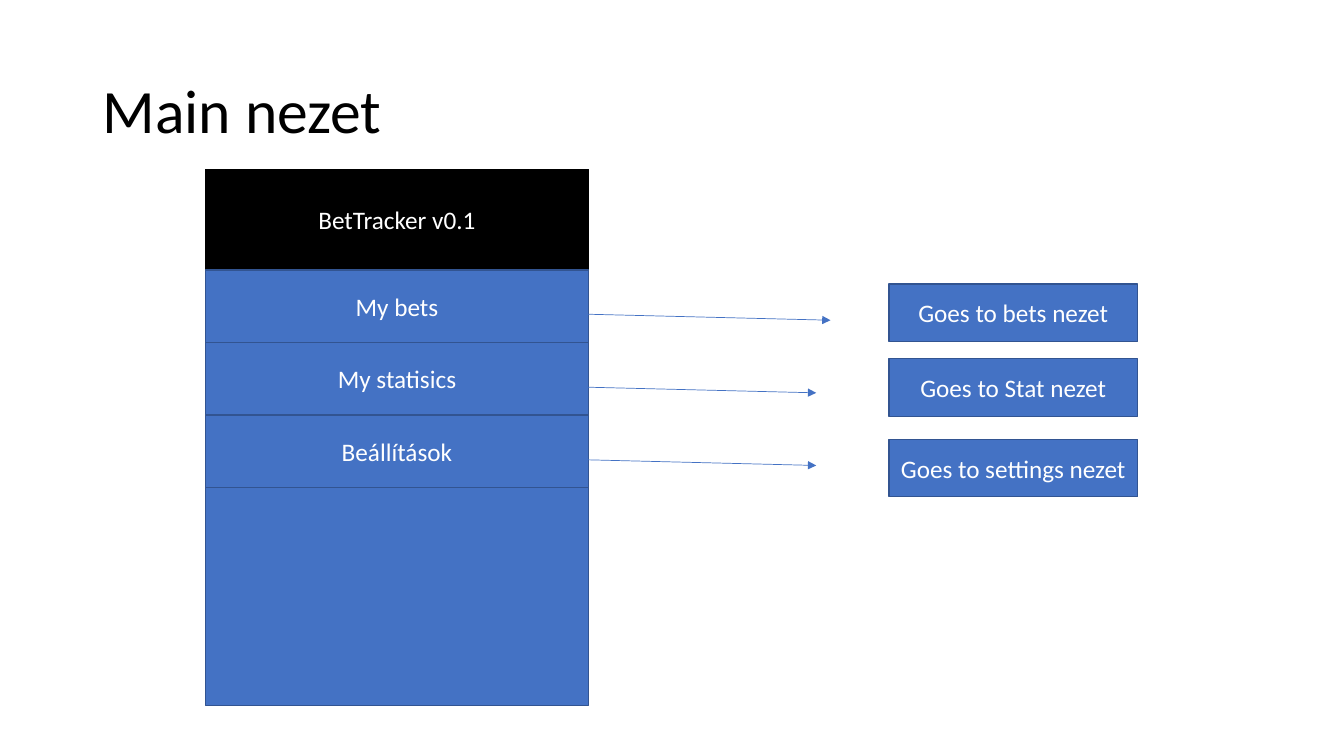
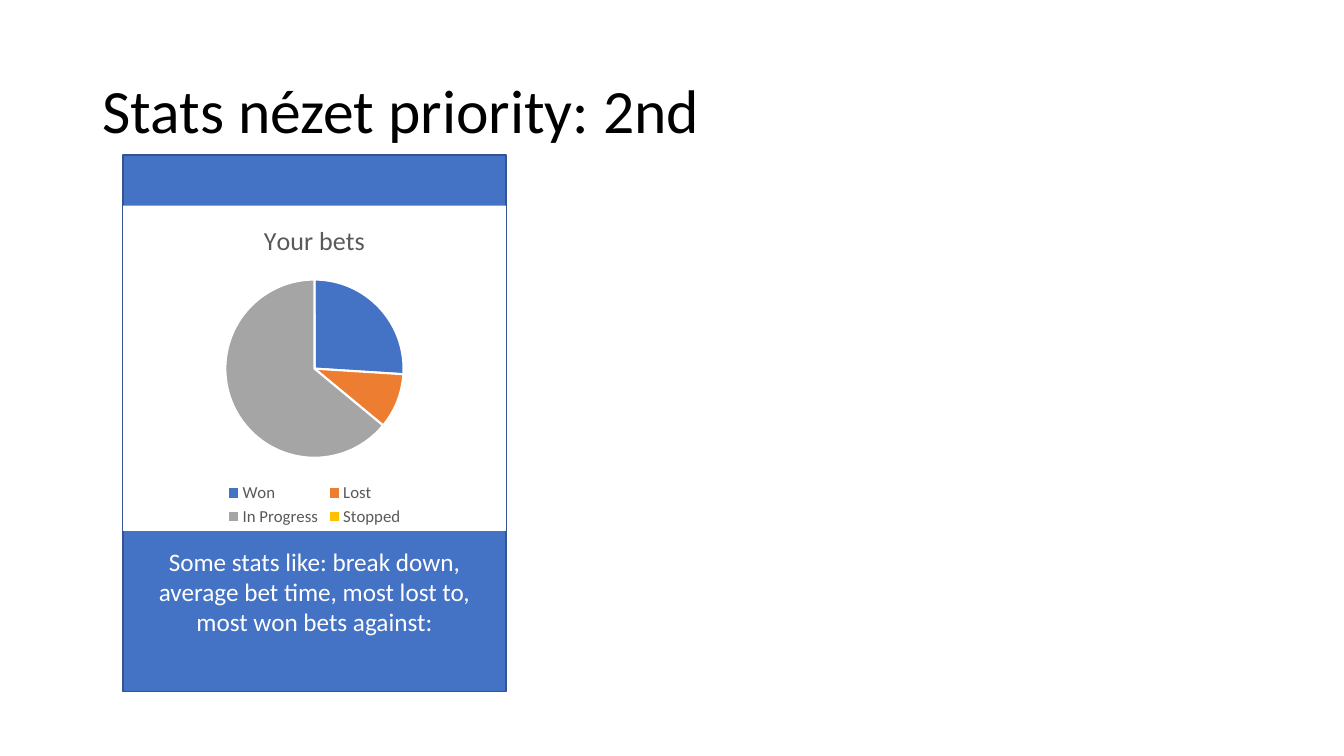
from lxml import etree
from pptx import Presentation
from pptx.chart.data import CategoryChartData
from pptx.dml.color import RGBColor
from pptx.enum import chart as ch, shapes, text
from pptx.oxml import ns, parse_xml
from pptx.util import Cm, Pt

FONT = "Calibri"
BLACK = RGBColor(0x00, 0x00, 0x00)
WHITE = RGBColor(0xFF, 0xFF, 0xFF)
BLUE = RGBColor(0x44, 0x72, 0xC4)
NAVY = RGBColor(0x32, 0x54, 0x91)
GREY = RGBColor(0x59, 0x59, 0x59)
SLICES = [BLUE, RGBColor(0xED, 0x7D, 0x31), RGBColor(0xA5, 0xA5, 0xA5),
          RGBColor(0xFF, 0xC0, 0x00)]

MAIN_TITLE = "Main nezet"
APP_NAME = "BetTracker v0.1"
# menu entry, arrow start x, target text, target top
MENU = [
    ("My bets", 13.64, "Goes to bets nezet", 7.16),
    ("My statisics", 13.28, "Goes to Stat nezet", 9.04),
    ("Beállítások", 13.28, "Goes to settings nezet", 11.07),
]
STATS_TITLE = "Stats nézet priority: 2nd"
STATS_NOTE = ("Some stats like: break down, average bet time, "
              "most lost to, most won bets against:")
CHART_TITLE = "Your bets"
BETS = {"Won": 26, "Lost": 10, "In Progress": 64, "Stopped": 0}

PANEL_W, PANEL_H = 9.65, 13.51
HEADER_H, ROW_H = 2.53, 1.83
ARROW_W, ARROW_H, ARROW_DROP = 7.29, 0.18, 1.09
TARGET_X, TARGET_W, TARGET_H = 22.4, 6.27, 1.45


def style_font(font, size, color):
    """Set family, size, weight and colour of a font."""
    font.name, font.size, font.bold = FONT, Pt(size), False
    font.color.rgb = color


def write(tf, words, size=18, color=WHITE, align=text.PP_ALIGN.CENTER,
          anchor=text.MSO_ANCHOR.MIDDLE, spacing=None):
    """Write one formatted paragraph into a text frame."""
    tf.word_wrap = True
    tf.vertical_anchor = anchor
    p = tf.paragraphs[0]
    p.alignment, p.line_spacing = align, spacing
    r = p.add_run()
    r.text = words
    style_font(r.font, size, color)


def add_slide(prs, title):
    """Add a title-only slide with the shared title style."""
    s = prs.slides.add_slide(prs.slide_layouts[5])
    sp = s.shapes.title
    sp.left, sp.top, sp.width, sp.height = Cm(2.33), Cm(1.01), Cm(29.21), Cm(3.68)
    write(sp.text_frame, title, size=44, color=BLACK,
          align=text.PP_ALIGN.LEFT, spacing=0.9)
    return s


def add_box(s, x, y, w, h, words=None, fill=BLUE, line=NAVY, **fmt):
    """Add a filled rectangle with optional text."""
    sp = s.shapes.add_shape(shapes.MSO_SHAPE.RECTANGLE, Cm(x), Cm(y), Cm(w), Cm(h))
    sp.shadow.inherit = False
    sp.fill.solid()
    sp.fill.fore_color.rgb = fill
    sp.line.color.rgb = line
    sp.line.width = Pt(1)
    if words:
        write(sp.text_frame, words, **fmt)
    return sp


def add_arrow(s, x, y):
    """Add a thin arrow that runs slightly downwards to the right."""
    c = s.shapes.add_connector(shapes.MSO_CONNECTOR.STRAIGHT, Cm(x), Cm(y),
                               Cm(x + ARROW_W), Cm(y + ARROW_H))
    c.line.color.rgb = BLUE
    c.line.width = Pt(0.5)
    etree.SubElement(c.line._get_or_add_ln(), ns.qn("a:tailEnd"), type="triangle")
    etree.SubElement(c._element.spPr, ns.qn("a:effectLst"))


def add_pie(s, x, y, w, h):
    """Add the pie chart of bets on a white ground."""
    data = CategoryChartData()
    data.categories = list(BETS)
    data.add_series(CHART_TITLE, list(BETS.values()))
    chart = s.shapes.add_chart(ch.XL_CHART_TYPE.PIE, Cm(x), Cm(y), Cm(w), Cm(h),
                               data).chart
    style_font(chart.font, 10, BLACK)
    chart.has_title = True
    tf = chart.chart_title.text_frame
    tf.text = CHART_TITLE
    style_font(tf.paragraphs[0].runs[0].font, 18.6, GREY)
    chart.chart_title.include_in_layout = False
    chart.has_legend = True
    chart.legend.position = ch.XL_LEGEND_POSITION.BOTTOM
    chart.legend.include_in_layout = False
    style_font(chart.legend.font, 12, GREY)
    plot = chart.plots[0]
    plot.vary_by_categories = True
    for i, color in enumerate(SLICES):
        fmt = plot.series[0].points[i].format
        fmt.fill.solid()
        fmt.fill.fore_color.rgb = color
        fmt.line.color.rgb = WHITE
        fmt.line.width = Pt(1.5)
    ground = parse_xml(
        f'<c:spPr {ns.nsdecls("c", "a")}><a:solidFill><a:srgbClr val="{WHITE}"/>'
        '</a:solidFill><a:ln><a:noFill/></a:ln></c:spPr>')
    chart._chartSpace.find(ns.qn("c:chart")).addnext(ground)


def main_slide(prs):
    """Build the main view with its menu and targets."""
    s = add_slide(prs, MAIN_TITLE)
    x, y = 5.18, 4.27
    add_box(s, x, y, PANEL_W, PANEL_H)
    add_box(s, x, y, PANEL_W, HEADER_H, APP_NAME, fill=BLACK, line=BLACK)
    for i, (entry, arrow_x, target, target_y) in enumerate(MENU):
        row_y = y + HEADER_H + i * ROW_H
        add_box(s, x, row_y, PANEL_W, ROW_H, entry)
        add_arrow(s, arrow_x, row_y + ARROW_DROP)
        add_box(s, TARGET_X, target_y, TARGET_W, TARGET_H, target)


def stats_slide(prs):
    """Build the statistics view with its chart."""
    s = add_slide(prs, STATS_TITLE)
    x, y = 3.1, 3.91
    panel = add_box(s, x, y, PANEL_W, PANEL_H, STATS_NOTE,
                    anchor=text.MSO_ANCHOR.BOTTOM)
    panel.text_frame.margin_bottom = Cm(1.37)
    add_pie(s, x, y + 1.27, PANEL_W, 8.2)


prs = Presentation()
prs.slide_width, prs.slide_height = Cm(33.87), Cm(19.05)
main_slide(prs)
stats_slide(prs)
prs.save("out.pptx")
